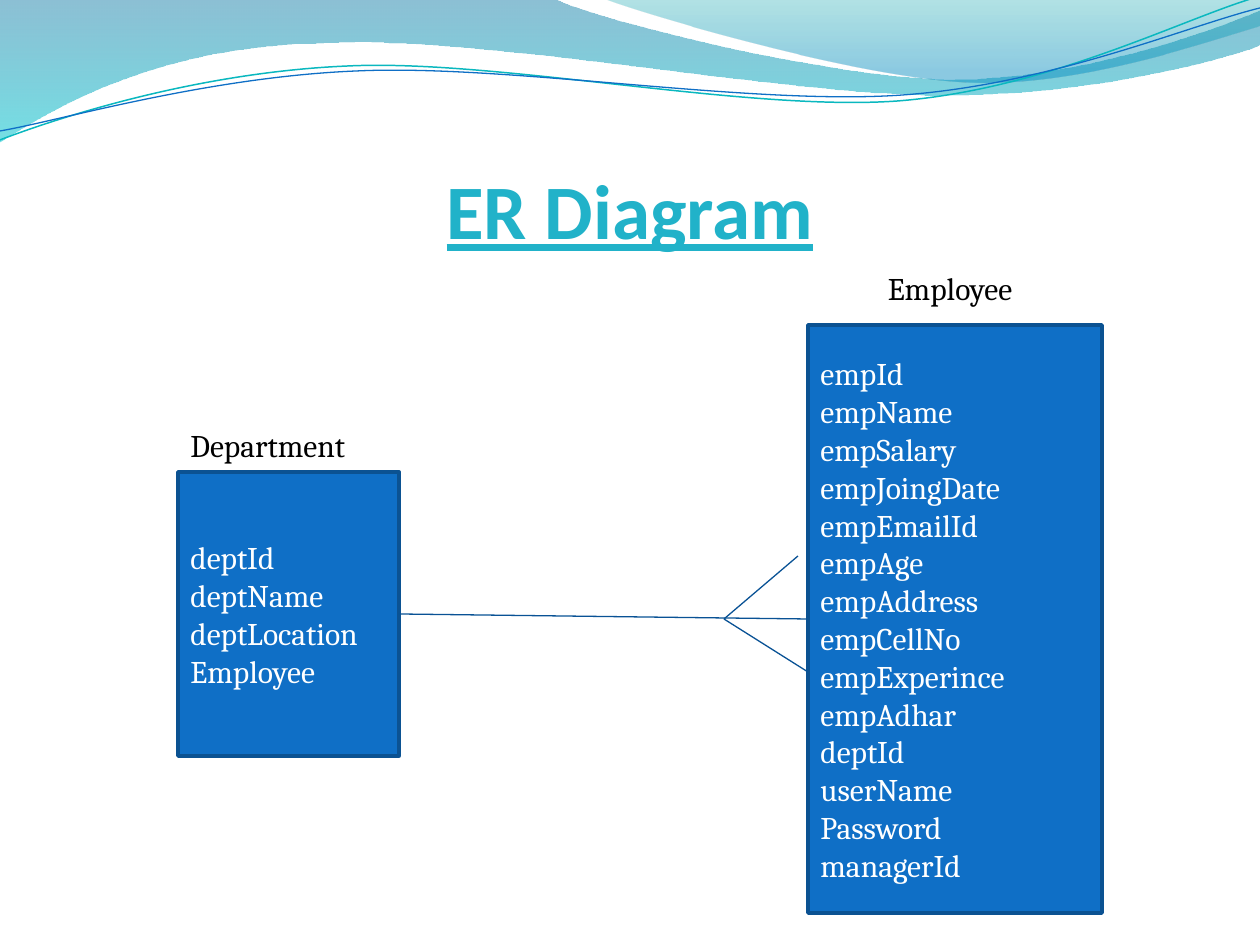
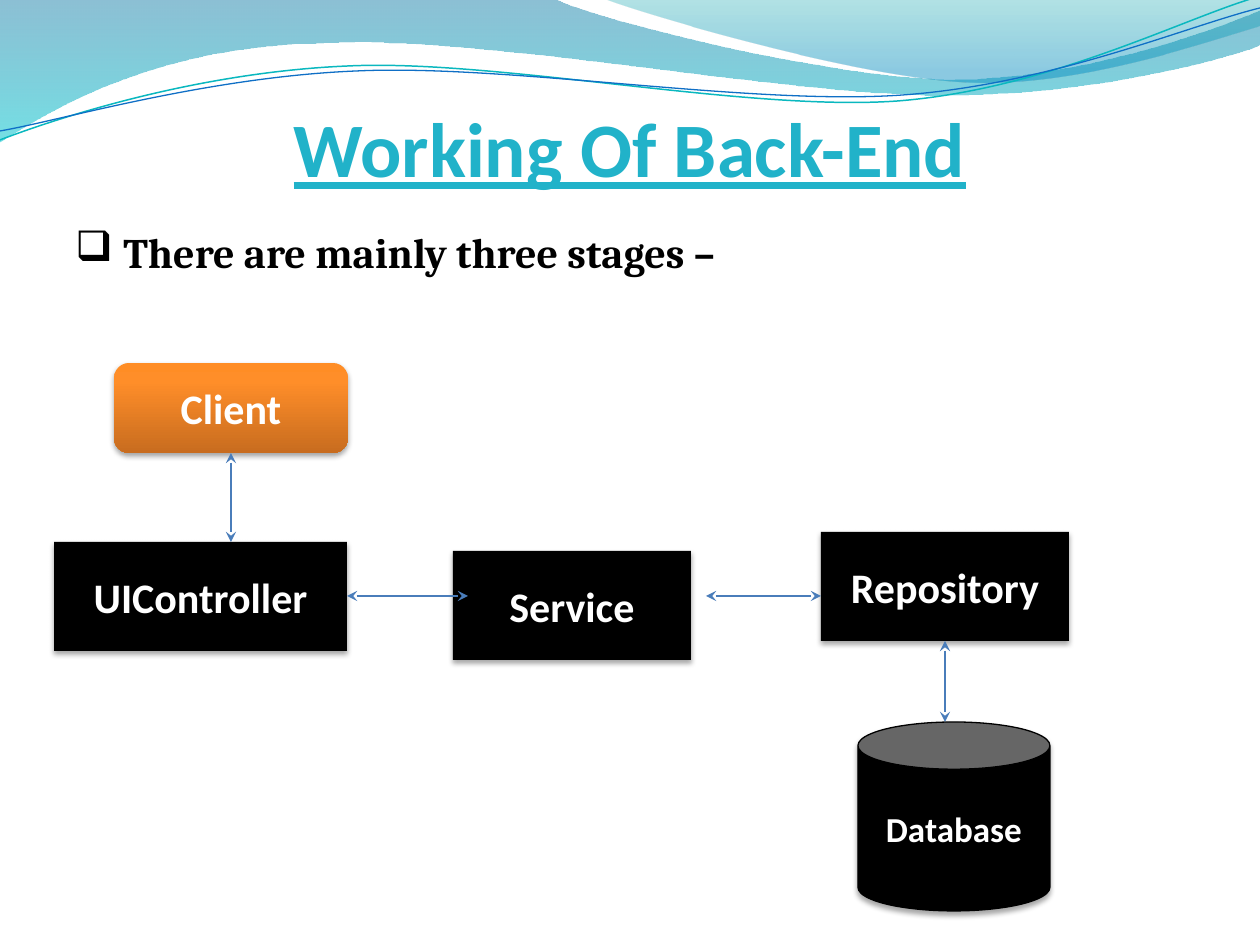
import dataclasses
import math

import lxml.etree
import pptx
import pptx.dml.color
import pptx.enum.shapes
import pptx.enum.text
import pptx.oxml.ns
import pptx.util

EMU_PER_PX = 914400 / 126
WIDTH, HEIGHT = 1260, 945

HEADING_FONT, BODY_FONT = "Calibri", "Cambria"
TITLE, BLUE, BLUE_EDGE = "21B2C9", "0F6FC6", "0B5292"
RELATION, FLOW, BLACK, WHITE = "095295", "4A7DBA", "000000", "FFFFFF"

SHAPE = pptx.enum.shapes.MSO_SHAPE
LEFT, CENTER = pptx.enum.text.PP_ALIGN.LEFT, pptx.enum.text.PP_ALIGN.CENTER
ANCHOR = pptx.enum.text.MSO_ANCHOR


@dataclasses.dataclass
class Stop:
    percent: int
    color: str
    opacity: int = 100


@dataclasses.dataclass
class Wave:
    """Each segment is one point (straight) or three points (Bezier curve)."""
    box: tuple
    start: tuple
    segments: list
    stops: list | None = None
    color: str = ""
    width: float = 0
    tilt: float = 0


@dataclasses.dataclass
class Style:
    size: int
    font: str
    color: str
    bold: bool = False
    underline: bool = False


@dataclasses.dataclass
class Entity:
    name: str
    label: tuple
    label_align: int
    box: tuple
    fields: list


@dataclasses.dataclass
class Stage:
    name: str
    box: tuple
    kind: int = SHAPE.RECTANGLE
    size: int = 24
    stops: list | None = None
    edge: str = ""


TITLE_STYLE = Style(44, HEADING_FONT, TITLE, True, True)
LABEL_STYLE = Style(18, BODY_FONT, BLACK)
FIELD_STYLE = Style(18, BODY_FONT, WHITE)
POINT_STYLE = Style(24, BODY_FONT, BLACK, True)

WAVES = [
    Wave((-1, -1, 1262, 143), (0, 0), [
        [(554, -1)],
        [(600, 21), (837, 79), (955, 79)],
        [(1075, 79), (1207, 33), (1260, 11)],
        [(1261, 45)],
        [(1239, 55), (1096, 96), (940, 95)],
        [(781, 95), (481, 35), (324, 43)],
        [(163, 45), (58, 105), (-1, 142)],
        [(0, 0)],
    ], [Stop(0, "0074A1", 45), Stop(100, "00C6CF", 55)]),
    Wave((604, -1, 656, 88), (604, -1), [
        [(641, 14), (859, 78), (969, 82)],
        [(1079, 87), (1211, 40), (1260, 26)],
        [(1260, 0)],
        [(604, -1)],
    ], [Stop(0, "00A1A9", 30), Stop(80, "008BBF", 45)]),
    Wave((-3, 28, 1263, 89), (0, 140), [
        [(60, 117), (199, 72), (349, 66)],
        [(497, 59), (747, 112), (898, 101)],
        [(1049, 89), (1182, 19), (1257, -3)],
    ], color="0AB8BF", width=0.85, tilt=357.3),
    Wave((-3, 38, 1264, 73), (0, 131), [
        [(59, 121), (207, 77), (357, 71)],
        [(508, 64), (752, 106), (903, 95)],
        [(1053, 84), (1187, 26), (1260, 8)],
    ], color=BLUE, width=0.75, tilt=357.3),
]

ENTITIES = [
    Entity("Department", (178, 420, 210, 50), LEFT, (178, 472, 221, 284),
           ["deptId", "deptName", "deptLocation", "Employee"]),
    Entity("Employee", (808, 263, 284, 50), CENTER, (808, 325, 294, 588),
           ["empId", "empName", "empSalary", "empJoingDate", "empEmailId",
            "empAge", "empAddress", "empCellNo", "empExperince", "empAdhar",
            "deptId", "userName", "Password", "managerId"]),
]
RELATION_LINES = [((399, 614), (808, 619)), ((724, 619), (798, 556)),
                  ((724, 619), (808, 672))]

STAGES = [
    Stage("Service", (453, 551, 238, 109)),
    Stage("Repository", (821, 532, 248, 109)),
    Stage("UIController", (54, 542, 293, 109)),
    Stage("Client", (114, 363, 234, 90), SHAPE.ROUNDED_RECTANGLE,
          stops=[Stop(0, "FF8D25"), Stop(20, "FF8E29"), Stop(100, "C86C1F")]),
    Stage("Database", (858, 722, 192, 189), SHAPE.CAN, 20, edge=BLACK),
]
FLOW_LINES = [((231, 453), (231, 542)), ((347, 596), (468, 596)),
              ((706, 596), (821, 596)), ((945, 641), (945, 722))]


def px(n: float) -> pptx.util.Emu:
    return pptx.util.Emu(round(n * EMU_PER_PX))


def rgb(value: str) -> pptx.dml.color.RGBColor:
    return pptx.dml.color.RGBColor.from_string(value)


def add_xml(parent, tag: str, **attrs):
    return lxml.etree.SubElement(
        parent, pptx.oxml.ns.qn(tag), {k: str(v) for k, v in attrs.items()})


def set_gradient(sp, stops: list) -> None:
    """Fill from top to bottom, with an opacity for each stop."""
    sp.fill.gradient()
    grad = sp._element.spPr.find(pptx.oxml.ns.qn("a:gradFill"))
    for child in list(grad):
        grad.remove(child)
    gs_list = add_xml(grad, "a:gsLst")
    for stop in stops:
        gs = add_xml(gs_list, "a:gs", pos=stop.percent * 1000)
        clr = add_xml(gs, "a:srgbClr", val=stop.color)
        if stop.opacity < 100:
            add_xml(clr, "a:alpha", val=stop.opacity * 1000)
    add_xml(grad, "a:lin", ang=5400000, scaled=0)


def set_look(sp, fill: str = "", stops: list | None = None,
             edge: str = "", width: float = 0.75) -> None:
    sp.shadow.inherit = False
    if stops:
        set_gradient(sp, stops)
    elif fill:
        sp.fill.solid()
        sp.fill.fore_color.rgb = rgb(fill)
    else:
        sp.fill.background()
    if edge:
        sp.line.color.rgb = rgb(edge)
        sp.line.width = pptx.util.Pt(width)
    else:
        sp.line.fill.background()


def add_drop_shadow(sp) -> None:
    effects = sp._element.spPr.find(pptx.oxml.ns.qn("a:effectLst"))
    shadow = add_xml(effects, "a:outerShdw", blurRad=pptx.util.Pt(3.1),
                     dist=pptx.util.Pt(1.8), dir=5400000, rotWithShape=0)
    clr = add_xml(shadow, "a:srgbClr", val=BLACK)
    add_xml(clr, "a:alpha", val=35000)


def write(sp, lines: list, style: Style, align: int, anchor: int):
    tf = sp.text_frame
    tf.word_wrap = True
    tf.vertical_anchor = anchor
    for i, line in enumerate(lines):
        p = tf.paragraphs[0] if i == 0 else tf.add_paragraph()
        p.alignment = align
        r = p.add_run()
        r.text = line
        r.font.size = pptx.util.Pt(style.size)
        r.font.name = style.font
        r.font.bold = style.bold
        r.font.underline = style.underline
        r.font.color.rgb = rgb(style.color)
    return tf


def add_text(s, box: tuple, text: str, style: Style, align: int = LEFT,
             anchor: int = ANCHOR.TOP):
    sp = s.shapes.add_textbox(*map(px, box))
    return write(sp, [text], style, align, anchor)


def add_line(s, ends: tuple, color: str, arrows: bool = False) -> None:
    (x1, y1), (x2, y2) = ends
    c = s.shapes.add_connector(pptx.enum.shapes.MSO_CONNECTOR.STRAIGHT,
                               px(x1), px(y1), px(x2), px(y2))
    c.line.color.rgb = rgb(color)
    c.line.width = pptx.util.Pt(0.75)
    if arrows:
        for tag in ("a:headEnd", "a:tailEnd"):
            add_xml(c.line._get_or_add_ln(), tag, type="stealth")
    add_xml(c._element.spPr, "a:effectLst")


def in_box(point: tuple, wave: Wave) -> tuple:
    """Place a slide point inside the wave's box, before the box is tilted."""
    left, top, width, height = wave.box
    dx, dy = point[0] - left - width / 2, point[1] - top - height / 2
    a = math.radians(-wave.tilt)
    return (px(dx * math.cos(a) - dy * math.sin(a) + width / 2),
            px(dx * math.sin(a) + dy * math.cos(a) + height / 2))


def add_wave(s, wave: Wave) -> None:
    builder = s.shapes.build_freeform(*map(px, wave.start))
    builder.add_line_segments([tuple(map(px, seg[-1])) for seg in wave.segments],
                              close=False)
    sp = builder.convert_to_shape()
    sp.left, sp.top, sp.width, sp.height = map(px, wave.box)
    sp.rotation = wave.tilt
    # Python-pptx draws straight segments only: put the curves in their place
    outline = next(sp._element.iter(pptx.oxml.ns.qn("a:path")))
    for child in list(outline):
        outline.remove(child)
    outline.set("w", str(sp.width))
    outline.set("h", str(sp.height))
    steps = [("a:moveTo", [wave.start])]
    steps += [("a:lnTo" if len(seg) == 1 else "a:cubicBezTo", seg)
              for seg in wave.segments]
    for tag, points in steps:
        step = add_xml(outline, tag)
        for point in points:
            x, y = in_box(point, wave)
            add_xml(step, "a:pt", x=x, y=y)
    if wave.stops:
        add_xml(outline, "a:close")
    set_look(sp, stops=wave.stops, edge=wave.color, width=wave.width)


def add_slide(prs, title: str, box: tuple, anchor: int):
    s = prs.slides.add_slide(prs.slide_layouts[6])
    for wave in WAVES:
        add_wave(s, wave)
    tf = add_text(s, box, title, TITLE_STYLE, CENTER, anchor)
    if anchor == ANCHOR.BOTTOM:
        tf.margin_left = tf.margin_right = tf.margin_bottom = 0
    return s


def add_entity(s, entity: Entity) -> None:
    sp = s.shapes.add_shape(SHAPE.RECTANGLE, *map(px, entity.box))
    set_look(sp, BLUE, edge=BLUE_EDGE, width=2)
    write(sp, entity.fields, FIELD_STYLE, LEFT, ANCHOR.MIDDLE)
    add_text(s, entity.label, entity.name, LABEL_STYLE, entity.label_align)


def add_stage(s, stage: Stage) -> None:
    sp = s.shapes.add_shape(stage.kind, *map(px, stage.box))
    set_look(sp, BLACK, stage.stops, stage.edge)
    add_drop_shadow(sp)
    write(sp, [stage.name], Style(stage.size, HEADING_FONT, WHITE, True),
          CENTER, ANCHOR.MIDDLE)


prs = pptx.Presentation()
prs.slide_width, prs.slide_height = px(WIDTH), px(HEIGHT)

# Entities and their one-to-many relation
s = add_slide(prs, "ER Diagram", (63, 97, 1134, 158), ANCHOR.BOTTOM)
for entity in ENTITIES:
    add_entity(s, entity)
for ends in RELATION_LINES:
    add_line(s, ends, RELATION)

# Back-end stages and the flow between them
s = add_slide(prs, "Working Of Back-End", (63, 63, 1134, 168), ANCHOR.MIDDLE)
tf = add_text(s, (63, 220, 1134, 624), "There are mainly three stages –",
              POINT_STYLE)
pPr = tf.paragraphs[0]._p.get_or_add_pPr()
pPr.set("marL", str(px(48)))
pPr.set("indent", str(px(-48)))
add_xml(add_xml(pPr, "a:buClr"), "a:srgbClr", val=BLACK)
add_xml(pPr, "a:buFont", typeface="Wingdings", charset=2)
add_xml(pPr, "a:buChar", char="q")
for stage in STAGES:
    add_stage(s, stage)
for ends in FLOW_LINES:
    add_line(s, ends, FLOW, arrows=True)

prs.save("out.pptx")
